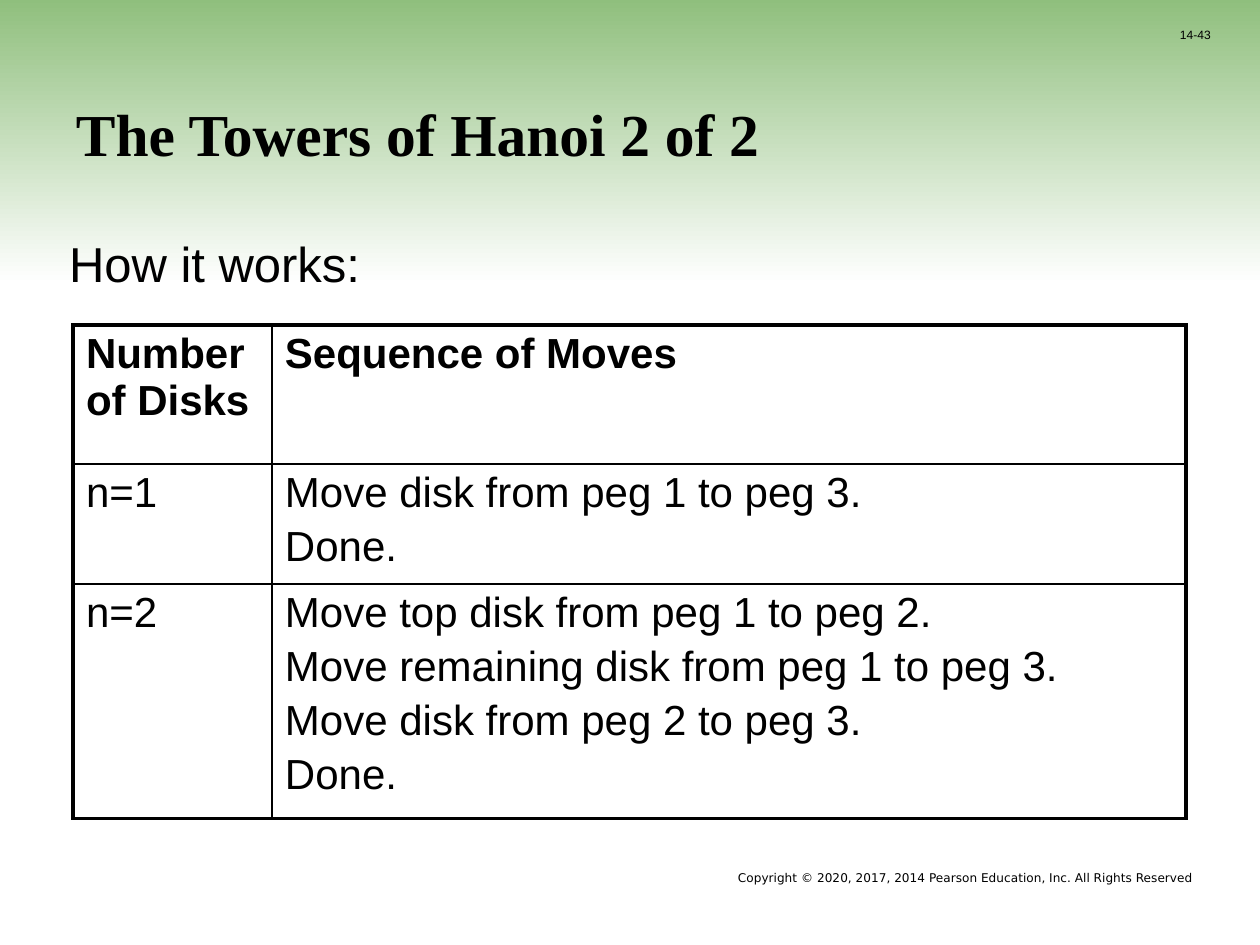
from lxml import etree
from pptx import Presentation
from pptx.dml.color import RGBColor
from pptx.enum.shapes import MSO_SHAPE as Shape
from pptx.enum.text import MSO_ANCHOR as Anchor, PP_ALIGN as Align
from pptx.oxml.ns import qn
from pptx.util import Pt

PX = 914400 / 126
BLACK = RGBColor(0x00, 0x00, 0x00)
WHITE = RGBColor(0xFF, 0xFF, 0xFF)
GREEN = RGBColor(0x8C, 0xBD, 0x79)


def emu(*lengths):
    return [round(length * PX) for length in lengths]


def write(frame, lines, size, face="Arial", bold=False, gap=0):
    frame.word_wrap = True
    for i, line in enumerate(lines):
        paragraph = frame.paragraphs[0] if i == 0 else frame.add_paragraph()
        if i:
            paragraph.space_before = Pt(gap)
        run = paragraph.add_run()
        run.text = line
        style = {"size": Pt(size), "name": face, "bold": bold}
        for key, value in style.items():
            setattr(run.font, key, value)
        run.font.color.rgb = BLACK


prs = Presentation()
prs.slide_width, prs.slide_height = emu(1260, 945)
slide = prs.slides.add_slide(prs.slide_layouts[6])

band = slide.shapes.add_shape(Shape.PENTAGON, *emu(0, -10, 1260, 294))
band.adjustments[0] = 0
band.shadow.inherit = False
band.line.fill.background()
band.fill.gradient()
band.fill.gradient_angle = 270
for stop, color, position in zip(band.fill.gradient_stops, (GREEN, WHITE), (0, 1)):
    stop.color.rgb = color
    stop.position = position

copyright_line = "Copyright © 2020, 2017, 2014 Pearson Education, Inc. All Rights Reserved"
texts = [
    (copyright_line, (220, 850, 987, 28), 12, "DejaVu Sans", False, 6, Anchor.TOP, Align.RIGHT, -25000),
    ("The Towers of Hanoi 2 of 2", (63, 30, 1134, 151), 34, "Times New Roman", True, 13, Anchor.BOTTOM, Align.LEFT, 0),
    ("How it works:", (42, 220, 1165, 80), 28, "Arial", False, 13, Anchor.TOP, Align.LEFT, 0),
    ("14-43", (1167, 15, 76, 25), 12, "Arial", False, 6, Anchor.MIDDLE, Align.LEFT, -25000),
]
for text, place, size, face, bold, inset, anchor, align, baseline in texts:
    frame = slide.shapes.add_textbox(*emu(*place)).text_frame
    write(frame, [text], size, face, bold)
    frame.margin_left, frame.margin_right = emu(13, 13)
    frame.margin_top, frame.margin_bottom = emu(inset, inset)
    frame.vertical_anchor = anchor
    paragraph = frame.paragraphs[0]
    paragraph.alignment = align
    if baseline:
        paragraph.runs[0].font._element.set("baseline", str(baseline))
    if text == "How it works:":
        margin, indent = emu(35, -21)
        paragraph._p.get_or_add_pPr().set("marL", str(margin))
        paragraph._p.get_or_add_pPr().set("indent", str(indent))

moves = [
    (["Number of Disks"], ["Sequence of Moves"]),
    (["n=1"], ["Move disk from peg 1 to peg 3.", "Done."]),
    (["n=2"], [
        "Move top disk from peg 1 to peg 2.",
        "Move remaining disk from peg 1 to peg 3.",
        "Move disk from peg 2 to peg 3.",
        "Done.",
    ]),
]
table = slide.shapes.add_table(3, 2, *emu(73, 325, 1113, 479)).table
table.first_row = table.horz_banding = False
for column, width in zip(table.columns, emu(199, 914)):
    column.width = width
for row, height in zip(table.rows, emu(139, 115, 225)):
    row.height = height

for r, row in enumerate(moves):
    for c, lines in enumerate(row):
        cell = table.cell(r, c)
        cell.margin_left, cell.margin_right, cell.margin_top, cell.margin_bottom = emu(13, 13, 6, 6)
        write(cell.text_frame, lines, 24, bold=r == 0, gap=4)
        outer = {"lnL": c == 0, "lnR": c == 1, "lnT": r == 0, "lnB": r == 2}
        properties = cell._tc.get_or_add_tcPr()
        for side, is_outer in outer.items():
            width = Pt(2.25 if is_outer else 1)
            border = etree.SubElement(properties, qn(f"a:{side}"), w=str(width))
            fill = etree.SubElement(border, qn("a:solidFill"))
            etree.SubElement(fill, qn("a:srgbClr"), val=str(BLACK))
        cell.fill.background()

prs.save("out.pptx")
